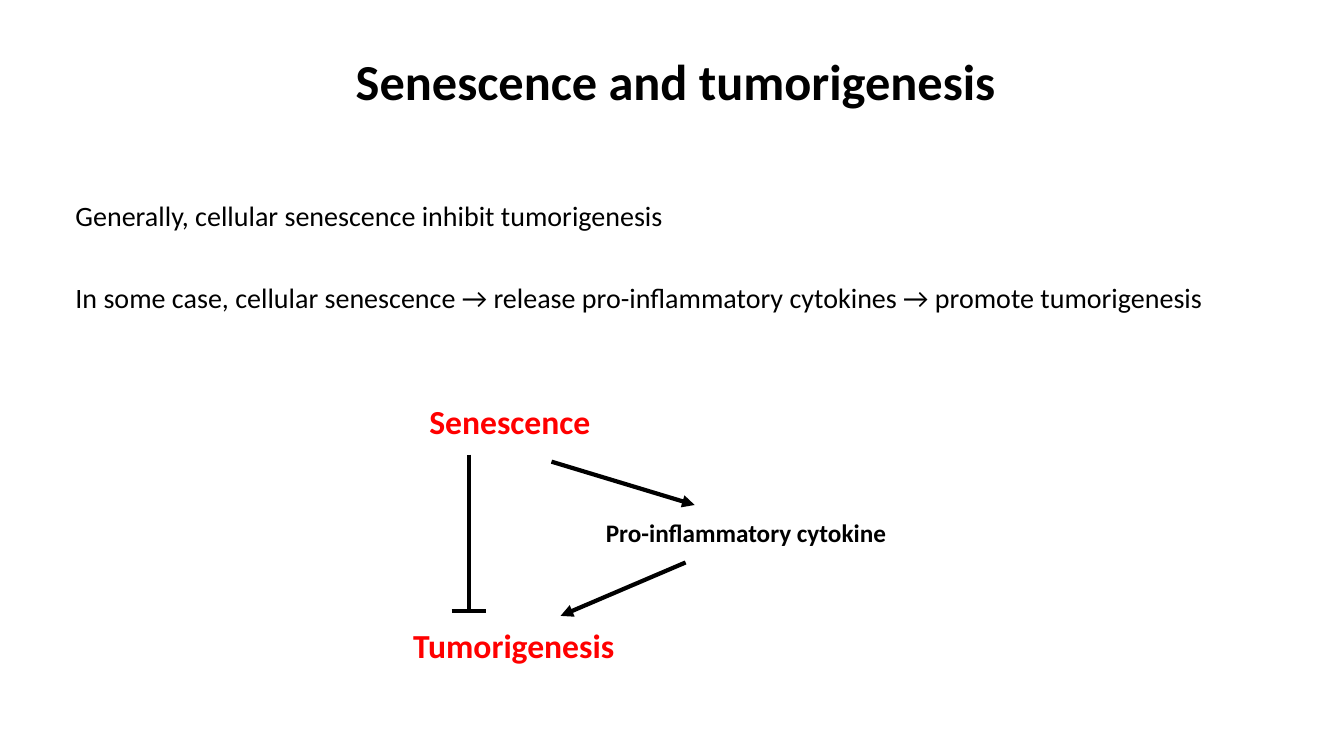
from lxml.etree import SubElement
from pptx import Presentation
from pptx.dml.color import RGBColor
from pptx.enum.shapes import MSO_CONNECTOR as Link
from pptx.enum.text import MSO_AUTO_SIZE as Fit
from pptx.oxml.ns import qn
from pptx.util import Inches, Pt

BLACK, RED = "000000", "FF0000"


def color(code):
    return RGBColor.from_string(code)


class Board:
    """Holds the shared style and the slide being drawn."""
    font = "Calibri"
    weight = Pt(3)

    def __init__(self, slide):
        self.shapes = slide.shapes

    def text(self, words, left, top, width, height, size, bold=True, ink=BLACK):
        box = self.shapes.add_textbox(*map(Inches, (left, top, width, height)))
        frame = box.text_frame
        frame.word_wrap = False
        frame.auto_size = Fit.SHAPE_TO_FIT_TEXT
        frame.text = words
        font = frame.paragraphs[0].font
        font.name, font.size, font.bold = self.font, Pt(size), bold
        font.color.rgb = color(ink)

    def line(self, start, end):
        link = self.shapes.add_connector(Link.STRAIGHT, *map(Inches, start + end))
        link.line.color.rgb = color(BLACK)
        link.line.width = self.weight
        SubElement(link._element.spPr, qn("a:effectLst"))
        return link

    def arrow(self, start, end):
        link = self.line(start, end)
        SubElement(link.line._get_or_add_ln(), qn("a:tailEnd"), type="triangle")

    def block(self, x, top, base, half):
        """Draw an inhibition mark: a stem that ends in a flat bar."""
        self.line((x, top), (x, base))
        self.line((x - half, base), (x + half, base))


def main():
    deck = Presentation()
    deck.slide_width, deck.slide_height = Inches(13.33), Inches(7.5)
    board = Board(deck.slides.add_slide(deck.slide_layouts[6]))

    board.text("Senescence and tumorigenesis", 3.43, 0.45, 6.62, 0.71, 36)
    board.text("Generally, cellular senescence inhibit tumorigenesis",
               0.65, 1.92, 6.09, 0.44, 20, bold=False)
    board.text("In some case, cellular senescence → release pro-inflammatory "
               "cytokines → promote tumorigenesis",
               0.65, 2.73, 11.54, 0.44, 20, bold=False)

    board.text("Senescence", 4.16, 3.93, 1.89, 0.5, 24, ink=RED)
    board.text("Tumorigenesis", 4, 6.15, 2.22, 0.5, 24, ink=RED)
    board.text("Pro-inflammatory cytokine", 5.91, 5.08, 3.01, 0.4, 18)
    board.block(4.65, 4.51, 6.06, 0.17)
    board.arrow((5.47, 4.58), (6.89, 5.01))
    board.arrow((6.8, 5.58), (5.56, 6.11))

    deck.save("out.pptx")


if __name__ == "__main__":
    main()
